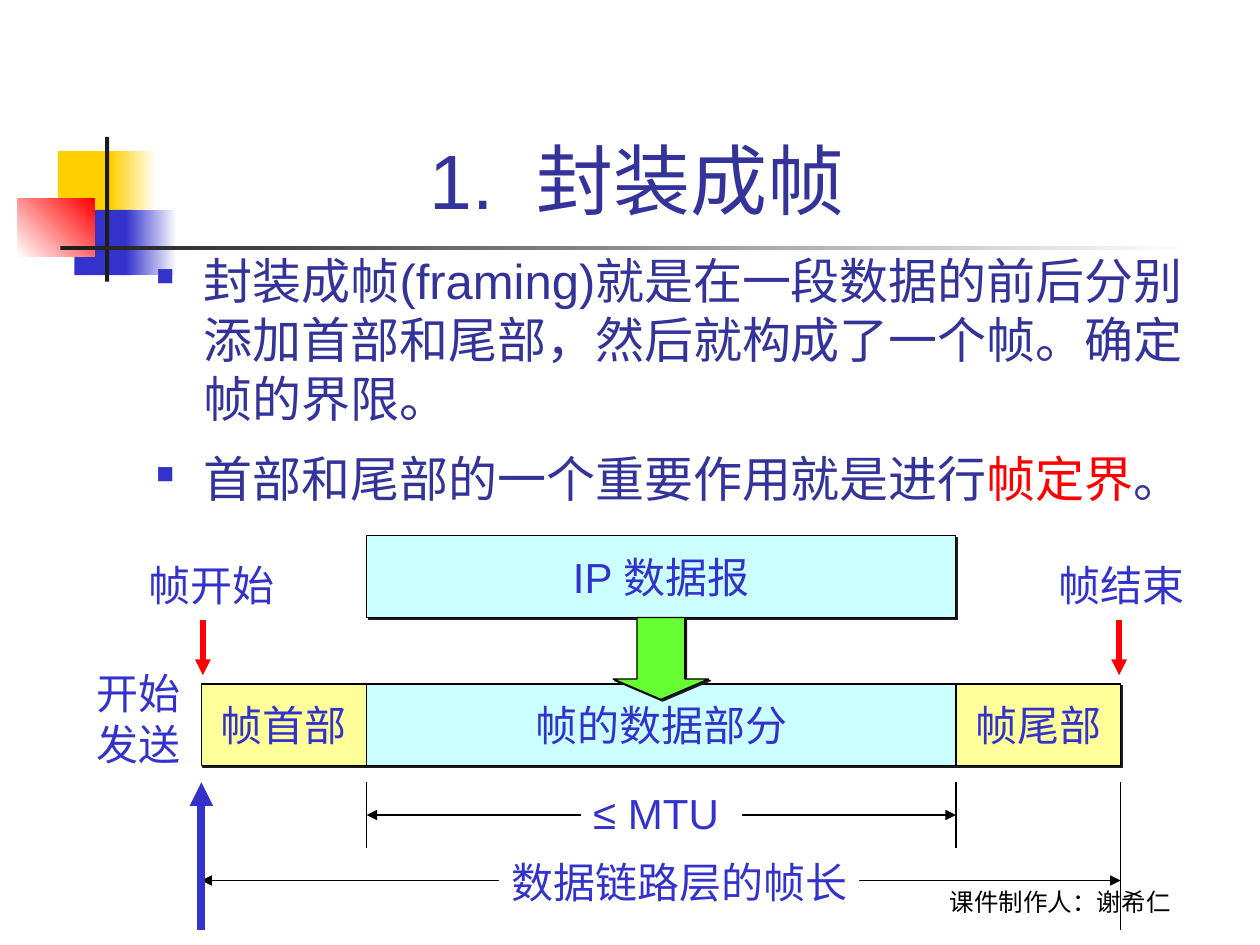
import pptx
import pptx.util
import pptx.dml.color
import pptx.enum.shapes
import pptx.enum.text
import pptx.oxml
import pptx.oxml.ns
from lxml import etree

Cm = pptx.util.Cm
Pt = pptx.util.Pt
RGBColor = pptx.dml.color.RGBColor
SHAPE = pptx.enum.shapes.MSO_SHAPE
ALIGN = pptx.enum.text.PP_ALIGN
ANCHOR = pptx.enum.text.MSO_ANCHOR
AUTOSIZE = pptx.enum.text.MSO_AUTO_SIZE
qn = pptx.oxml.ns.qn

WHITE = RGBColor(0xFF, 0xFF, 0xFF)
BLACK = RGBColor(0, 0, 0)
CHARCOAL = RGBColor(0x1C, 0x1C, 0x1C)
GOLD = RGBColor(0xFF, 0xCF, 0x01)
BLUE = RGBColor(0x33, 0x33, 0xCC)
NAVY = RGBColor(0x33, 0x33, 0x99)
RED = RGBColor(0xFF, 0, 0)
YELLOW = RGBColor(0xFF, 0xFF, 0x99)
CYAN = RGBColor(0xCC, 0xFF, 0xFF)
GREEN = RGBColor(0x66, 0xFF, 0x33)

SHADOW = (
    f'<a:effectLst {pptx.oxml.ns.nsdecls("a")}><a:outerShdw dist="17780" dir="2700000" '
    f'algn="ctr" rotWithShape="0"><a:srgbClr val="{CHARCOAL}"/></a:outerShdw></a:effectLst>'
)


def write(box, lines, size, color, align, frame_format, font="Arial"):
    """Fill a box; each line is a list of (text, colour or None) spans."""
    frame = box.text_frame
    for name, value in frame_format.items():
        setattr(frame, name, value)
    for index, line in enumerate(lines):
        para = frame.paragraphs[0] if index == 0 else frame.add_paragraph()
        para.alignment = align
        for text, accent in line:
            span = para.add_run()
            span.text = text
            for name, value in {"size": Pt(size), "name": font}.items():
                setattr(span.font, name, value)
            span.font.color.rgb = accent or color


def draw(kind, place, color, fade=None, angle=0, outlined=False):
    """Add a filled shape, with a gradient or with outline and shadow if asked."""
    box = page.shapes.add_shape(kind, *map(Cm, place))
    if fade is None:
        box.fill.solid()
        box.fill.fore_color.rgb = color
    else:
        box.fill.gradient()
        box.fill.gradient_angle = angle
        for stop, position, tone in zip(box.fill.gradient_stops, (0, 1), (color, fade)):
            stop.position = position
            stop.color.rgb = tone
    if outlined:
        box.line.color.rgb = BLACK
        box.line.width = Pt(0.75)
        box._element.spPr.append(pptx.oxml.parse_xml(SHADOW))
    else:
        box.line.fill.background()
        box.shadow.inherit = False
    return box


deck = pptx.Presentation()
deck.slide_width, deck.slide_height = Cm(25.4), Cm(19.05)
page = deck.slides.add_slide(deck.slide_layouts[5])

# Corner ornament and title rule
for place, color, fade, angle in [
    ((1.17, 3.05, 1.22, 1.32), GOLD, None, 0),
    ((2.24, 3.05, 0.91, 1.32), GOLD, WHITE, 0),
    ((1.5, 4.23, 1.17, 1.32), BLUE, None, 0),
    ((2.54, 4.23, 1.02, 1.32), BLUE, WHITE, 0),
    ((0.36, 4.01, 1.55, 1.17), WHITE, RED, 45),
    ((2.12, 2.76, 0.08, 2.92), CHARCOAL, None, 0),
    ((1.22, 4.95, 22.86, 0.09), CHARCOAL, WHITE, 0),
]:
    draw(SHAPE.RECTANGLE, place, color, fade, angle)

# Credit line
credit = page.shapes.add_textbox(Cm(17.35), Cm(17.32), Cm(8.05), Cm(1.27))
write(credit, [[("课件制作人：谢希仁", None)]], 14, BLACK, ALIGN.CENTER,
      {"word_wrap": True, "vertical_anchor": ANCHOR.BOTTOM}, "Lato")

# Title
title = page.shapes.title
for name, value in {"left": 3.2, "top": 0.6, "width": 19.3, "height": 4.06}.items():
    setattr(title, name, Cm(value))
write(title, [[("1.  封装成帧", None)]], 44, NAVY, ALIGN.CENTER,
      {"auto_size": AUTOSIZE.NONE, "vertical_anchor": ANCHOR.BOTTOM})

# Bulleted body
body = page.shapes.add_textbox(Cm(2.9), Cm(4.93), Cm(21.59), Cm(11.43))
write(body, [
    [("封装成帧(framing)就是在一段数据的前后分别添加首部和尾部，然后就构成了一个帧。确定帧的界限。", None)],
    [("首部和尾部的一个重要作用就是进行", None), ("帧定界", RED), ("。", None)],
], 28, NAVY, ALIGN.LEFT, {"word_wrap": True})
for para, gap in zip(body.text_frame.paragraphs, (7, 12)):
    para.space_before = Pt(gap)
    properties = para._p.get_or_add_pPr()
    properties.set("marL", str(Cm(0.96)))
    properties.set("indent", str(-Cm(0.96)))
    bullet_color = etree.SubElement(properties, qn("a:buClr"))
    etree.SubElement(bullet_color, qn("a:srgbClr"), val=str(BLUE))
    etree.SubElement(properties, qn("a:buSzPct"), val="50000")
    etree.SubElement(properties, qn("a:buChar"), char="■")

# Datagram and the three parts of the frame
START, DATA, TRAILER, END = 4.06, 7.39, 19.27, 22.59
PACKET_TOP, FRAME_TOP, HEIGHT = 10.8, 13.79, 1.65
for text, left, right, top, color in [
    ("帧首部", START, DATA, FRAME_TOP, YELLOW),
    ("IP 数据报", DATA, TRAILER, PACKET_TOP, CYAN),
    ("帧的数据部分", DATA, TRAILER, FRAME_TOP, CYAN),
    ("帧尾部", TRAILER, END, FRAME_TOP, YELLOW),
]:
    box = draw(SHAPE.RECTANGLE, (left, top, right - left, HEIGHT), color, outlined=True)
    write(box, [[(text, None)]], 24, BLUE, ALIGN.CENTER,
          {"word_wrap": False, "vertical_anchor": ANCHOR.MIDDLE})

# Dimension lines, guides and marker arrows
TICK_TOP, TICK_END, BOTTOM = 15.77, 17.09, 18.75
for x1, y1, x2, y2, color, width, ends in [
    (DATA, 16.43, TRAILER, 16.43, BLACK, 0.75, ("headEnd", "tailEnd")),
    (START, 17.75, END, 17.75, BLACK, 0.75, ("headEnd", "tailEnd")),
    (START, TICK_TOP, START, BOTTOM, BLUE, 4.5, ("headEnd",)),
    (END, TICK_TOP, END, BOTTOM, BLACK, 0.75, ()),
    (DATA, TICK_TOP, DATA, TICK_END, BLACK, 0.75, ()),
    (TRAILER, TICK_TOP, TRAILER, TICK_END, BLACK, 0.75, ()),
    (4.09, 13.61, 4.09, 12.5, RED, 3, ("headEnd",)),
    (22.56, 13.61, 22.56, 12.5, RED, 3, ("headEnd",)),
]:
    line = page.shapes.add_connector(
        pptx.enum.shapes.MSO_CONNECTOR.STRAIGHT, Cm(x1), Cm(y1), Cm(x2), Cm(y2))
    line.line.color.rgb = color
    line.line.width = Pt(width)
    for end in ends:
        etree.SubElement(line.line._get_or_add_ln(), qn(f"a:{end}"), type="triangle")
    etree.SubElement(line._element.spPr, qn("a:effectLst"))

# Labels, white so that they interrupt the lines beneath
for lines, place in [
    (["帧结束"], (21.08, 11.15, 3.05, 1.27)),
    (["≤ MTU"], (11.71, 15.75, 3.25, 1.27)),
    (["数据链路层的帧长"], (10.06, 17.15, 7.26, 1.27)),
    (["开始", "发送"], (1.7, 13.34, 2.18, 2.29)),
    (["帧开始"], (2.74, 11.15, 3.05, 1.27)),
]:
    label = draw(SHAPE.RECTANGLE, place, WHITE)
    write(label, [[(text, None)] for text in lines], 24, BLUE, ALIGN.LEFT,
          {"word_wrap": False, "vertical_anchor": ANCHOR.TOP,
           "auto_size": AUTOSIZE.NONE, "margin_right": 0})

# Arrow from the datagram into the frame
arrow = draw(SHAPE.DOWN_ARROW, (12.36, PACKET_TOP + HEIGHT, 1.93, HEIGHT), GREEN, outlined=True)
arrow.adjustments[1] = 0.25

deck.save("out.pptx")
